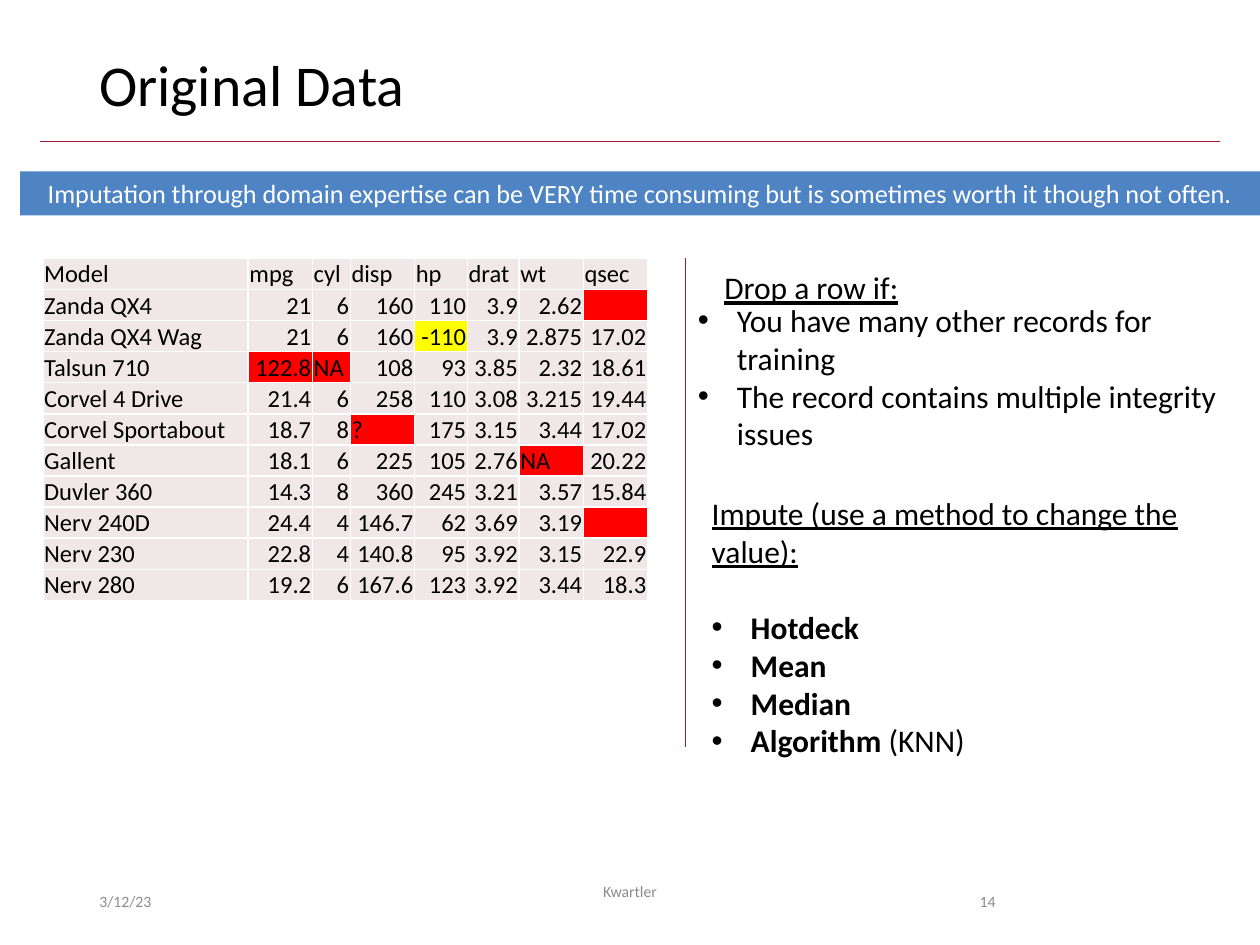
from dataclasses import dataclass

from lxml.etree import SubElement
from pptx import Presentation
from pptx.dml.color import RGBColor
from pptx.enum.shapes import MSO_CONNECTOR, MSO_SHAPE
from pptx.enum.text import MSO_ANCHOR, MSO_AUTO_SIZE, PP_ALIGN
from pptx.oxml.ns import qn
from pptx.slide import Slide
from pptx.util import Inches, Pt

COLORS = {
    "text": "000000",
    "white": "FFFFFF",
    "footer": "8C8C8C",
    "rule": "A51C30",
    "banner": "4E84C4",
    "cell": "F0E8E8",
    "error": "FF0000",
    "suspect": "FFFF00",
}

COLUMN_WIDTHS = [1.63, 0.51, 0.3, 0.51, 0.42, 0.41, 0.51, 0.51]
CAR_ROWS = [
    ["Model", "mpg", "cyl", "disp", "hp", "drat", "wt", "qsec"],
    ["Zanda QX4", "21", "6", "160", "110", "3.9", "2.62", ""],
    ["Zanda QX4 Wag", "21", "6", "160", "-110", "3.9", "2.875", "17.02"],
    ["Talsun 710", "122.8", "NA", "108", "93", "3.85", "2.32", "18.61"],
    ["Corvel 4 Drive", "21.4", "6", "258", "110", "3.08", "3.215", "19.44"],
    ["Corvel Sportabout", "18.7", "8", "?", "175", "3.15", "3.44", "17.02"],
    ["Gallent", "18.1", "6", "225", "105", "2.76", "NA", "20.22"],
    ["Duvler 360", "14.3", "8", "360", "245", "3.21", "3.57", "15.84"],
    ["Nerv 240D", "24.4", "4", "146.7", "62", "3.69", "3.19", ""],
    ["Nerv 230", "22.8", "4", "140.8", "95", "3.92", "3.15", "22.9"],
    ["Nerv 280", "19.2", "6", "167.6", "123", "3.92", "3.44", "18.3"],
]
MISSING = {"", "NA", "?"}
FLAGS = {"-110": "suspect", "122.8": "error"} | dict.fromkeys(MISSING, "error")


def rgb(name):
    return RGBColor.from_string(COLORS[name])


@dataclass
class SlideBuilder:
    slide: Slide
    font: str = "Calibri"
    body_size: int = 18

    def add_span(self, para, text, size, color="text", bold=False, underline=False):
        span = para.add_run()
        span.text = text
        span.font.name = self.font
        span.font.size = Pt(size)
        span.font.color.rgb = rgb(color)
        span.font.bold = bold
        span.font.underline = underline

    def add_line(self, start, end):
        line = self.slide.shapes.add_connector(
            MSO_CONNECTOR.STRAIGHT, *map(Inches, start + end))
        line.line.color.rgb = rgb("rule")
        line.line.width = Pt(0.5)
        SubElement(line._element.spPr, qn("a:effectLst"))

    def add_box(self, bounds, wrap=True, grow=False, anchor=MSO_ANCHOR.TOP):
        box = self.slide.shapes.add_textbox(*map(Inches, bounds))
        frame = box.text_frame
        frame.word_wrap = wrap
        frame.auto_size = MSO_AUTO_SIZE.SHAPE_TO_FIT_TEXT if grow else MSO_AUTO_SIZE.NONE
        frame.vertical_anchor = anchor
        return frame

    def add_label(self, bounds, text, size, color="text", align=PP_ALIGN.LEFT,
                  anchor=MSO_ANCHOR.TOP, spacing=1.0):
        para = self.add_box(bounds, anchor=anchor).paragraphs[0]
        para.alignment = align
        para.line_spacing = spacing
        self.add_span(para, text, size, color)

    def add_banner(self, bounds, text):
        banner = self.slide.shapes.add_shape(MSO_SHAPE.RECTANGLE, *map(Inches, bounds))
        banner.shadow.inherit = False
        banner.fill.solid()
        banner.fill.fore_color.rgb = rgb("banner")
        banner.line.fill.background()
        frame = banner.text_frame
        frame.word_wrap = True
        frame.auto_size = MSO_AUTO_SIZE.SHAPE_TO_FIT_TEXT
        frame.vertical_anchor = MSO_ANCHOR.TOP
        para = frame.paragraphs[0]
        para.alignment = PP_ALIGN.CENTER
        self.add_span(para, text, 15, "white")

    def add_heading(self, para, text):
        self.add_span(para, text, self.body_size, underline=True)

    def add_bullet(self, para, text, bold=False):
        props = para._p.get_or_add_pPr()
        props.set("marL", str(Inches(0.31)))
        props.set("indent", str(-Inches(0.31)))
        SubElement(props, qn("a:buFont"), typeface="Arial")
        SubElement(props, qn("a:buChar"), char="•")
        self.add_span(para, text, self.body_size, bold=bold)

    def style_cell(self, cell, text, row, column):
        cell.margin_left = cell.margin_right = cell.margin_top = Inches(0.01)
        cell.margin_bottom = 0
        cell.vertical_anchor = MSO_ANCHOR.BOTTOM if column else MSO_ANCHOR.MIDDLE
        props = cell._tc.get_or_add_tcPr()
        for side in ("lnL", "lnR", "lnT", "lnB"):
            border = SubElement(props, qn(f"a:{side}"), w=str(Pt(1)))
            fill = SubElement(border, qn("a:solidFill"))
            SubElement(fill, qn("a:srgbClr"), val=COLORS["white"])
        cell.fill.solid()
        cell.fill.fore_color.rgb = rgb(FLAGS.get(text, "cell"))
        para = cell.text_frame.paragraphs[0]
        if row and column and text not in MISSING:
            para.alignment = PP_ALIGN.RIGHT
        if text:
            self.add_span(para, text, 14)
        else:
            SubElement(para._p, qn("a:endParaRPr"), sz="1400")

    def add_table(self, left, top, widths, row_height, rows):
        table = self.slide.shapes.add_table(
            len(rows), len(widths), Inches(left), Inches(top),
            Inches(sum(widths)), Inches(row_height * len(rows))).table
        for column, width in zip(table.columns, widths):
            column.width = Inches(width)
        for row, values in enumerate(rows):
            table.rows[row].height = Inches(row_height)
            for column, text in enumerate(values):
                self.style_cell(table.cell(row, column), text, row, column)


def main():
    deck = Presentation()
    deck.slide_width, deck.slide_height = Inches(10), Inches(7.5)
    page = SlideBuilder(deck.slides.add_slide(deck.slide_layouts[6]))

    page.add_line((0.32, 1.12), (9.68, 1.12))
    page.add_label((0.69, 6.95, 2.25, 0.4), "3/12/23", 9, "footer",
                   anchor=MSO_ANCHOR.MIDDLE)
    page.add_label((0.69, 0.4, 8.62, 0.65), "Original Data", 33, spacing=0.9)
    page.add_label((7.06, 6.95, 0.94, 0.4), "14", 9, "footer",
                   PP_ALIGN.RIGHT, MSO_ANCHOR.MIDDLE)
    page.add_table(0.34, 2.05, COLUMN_WIDTHS, 0.21, CAR_ROWS)
    page.add_banner(
        (0.16, 1.36, 9.84, 0.35),
        "Imputation through domain expertise can be VERY time consuming "
        "but is sometimes worth it though not often.")
    page.add_line((5.44, 2.05), (5.44, 5.93))

    reasons = page.add_box((5.44, 2.34, 4.4, 1.31), grow=True)
    page.add_bullet(reasons.paragraphs[0], "You have many other records for training")
    page.add_bullet(reasons.add_paragraph(),
                    "The record contains multiple integrity issues")

    drop = page.add_box((5.65, 2.08, 1.6, 0.4), wrap=False, grow=True)
    page.add_heading(drop.paragraphs[0], "Drop a row if:")

    impute = page.add_box((5.55, 3.87, 4.49, 2.22), grow=True)
    heading = impute.paragraphs[0]
    heading.space_after = Pt(22)
    page.add_heading(heading, "Impute (use a method to change the value):")
    for method in ("Hotdeck", "Mean", "Median", "Algorithm"):
        para = impute.add_paragraph()
        page.add_bullet(para, method, bold=True)
    page.add_span(para, " (KNN)", page.body_size)

    page.add_label((3.31, 6.95, 3.38, 0.4), "Kwartler", 9, "footer", PP_ALIGN.CENTER)
    deck.save("out.pptx")


if __name__ == "__main__":
    main()
